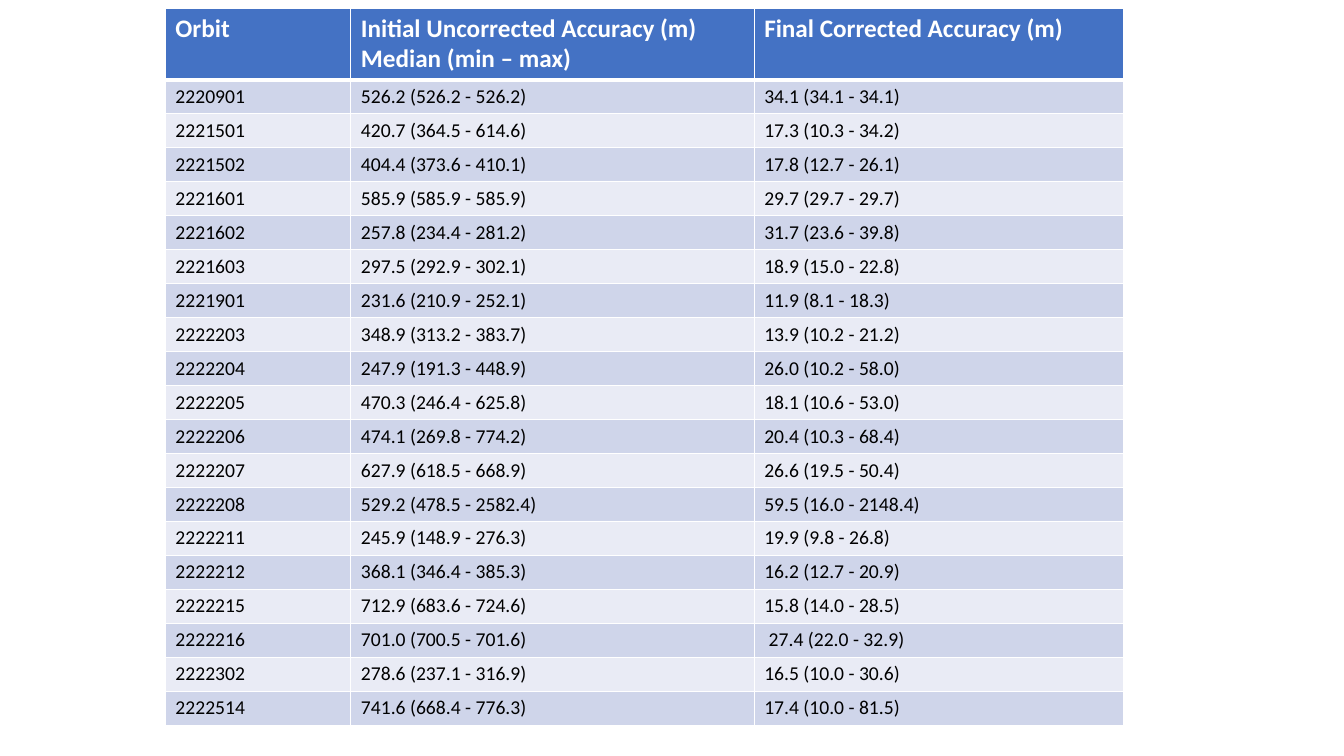
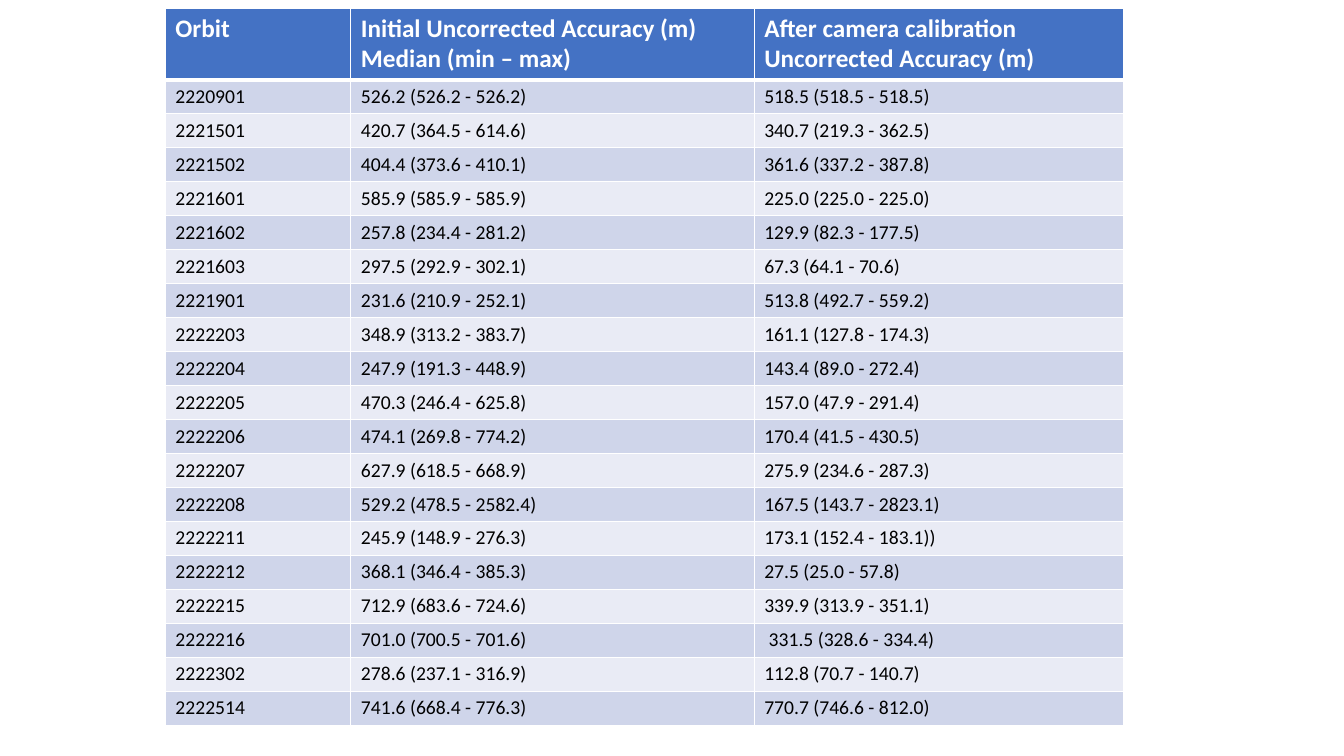
"""Build two slides of tables comparing orbit accuracy before and after correction."""

from dataclasses import dataclass
from typing import NamedTuple

from lxml.etree import SubElement
from pptx import Presentation
from pptx.dml.color import RGBColor
from pptx.oxml.ns import qn
from pptx.presentation import Presentation as Deck
from pptx.table import _Cell as Cell
from pptx.util import Inches, Pt

WHITE = RGBColor(0xFF, 0xFF, 0xFF)
BLACK = RGBColor(0x00, 0x00, 0x00)
HEADER_BLUE = RGBColor(0x44, 0x72, 0xC4)
BAND_DARK = RGBColor(0xCF, 0xD5, 0xEA)
BAND_LIGHT = RGBColor(0xE9, 0xEB, 0xF5)

FONT = "Calibri"
TABLE_LEFT, TABLE_TOP = Inches(1.64), Inches(0.08)
COLUMN_WIDTHS = (Inches(1.84), Inches(4), Inches(3.66))
HEADER_HEIGHT, ROW_HEIGHT = Inches(0.68), Inches(0.33)
THIN, THICK = Pt(1), Pt(3)


@dataclass(frozen=True)
class CellStyle:
    """Look of the cells in one table row."""

    fill: RGBColor
    color: RGBColor
    size: int
    bold: bool
    top: int = THIN
    bottom: int = THIN


class Orbit(NamedTuple):
    """Accuracy of one orbit, each as median (min - max)."""

    name: str
    initial: str
    corrected: str
    calibrated: str


class AccuracySlide(NamedTuple):
    """Heading of the last column and the orbit field it lists."""

    heading: str
    field: str


HEADER_STYLE = CellStyle(HEADER_BLUE, WHITE, 18, True, bottom=THICK)
FIRST_STYLE = CellStyle(BAND_DARK, BLACK, 14, False, top=THICK)
BAND_STYLES = (
    CellStyle(BAND_DARK, BLACK, 14, False),
    CellStyle(BAND_LIGHT, BLACK, 14, False),
)

INITIAL_HEADING = "Initial Uncorrected Accuracy (m)\nMedian (min – max)"

SLIDES = (
    AccuracySlide("Final Corrected Accuracy (m)", "corrected"),
    AccuracySlide("After camera calibration Uncorrected Accuracy (m)", "calibrated"),
)

ORBITS = (
    Orbit("2220901", "526.2 (526.2 - 526.2)", "34.1 (34.1 - 34.1)", "518.5 (518.5 - 518.5)"),
    Orbit("2221501", "420.7 (364.5 - 614.6)", "17.3 (10.3 - 34.2)", "340.7 (219.3 - 362.5)"),
    Orbit("2221502", "404.4 (373.6 - 410.1)", "17.8 (12.7 - 26.1)", "361.6 (337.2 - 387.8)"),
    Orbit("2221601", "585.9 (585.9 - 585.9)", "29.7 (29.7 - 29.7)", "225.0 (225.0 - 225.0)"),
    Orbit("2221602", "257.8 (234.4 - 281.2)", "31.7 (23.6 - 39.8)", "129.9 (82.3 - 177.5)"),
    Orbit("2221603", "297.5 (292.9 - 302.1)", "18.9 (15.0 - 22.8)", "67.3 (64.1 - 70.6)"),
    Orbit("2221901", "231.6 (210.9 - 252.1)", "11.9 (8.1 - 18.3)", "513.8 (492.7 - 559.2)"),
    Orbit("2222203", "348.9 (313.2 - 383.7)", "13.9 (10.2 - 21.2)", "161.1 (127.8 - 174.3)"),
    Orbit("2222204", "247.9 (191.3 - 448.9)", "26.0 (10.2 - 58.0)", "143.4 (89.0 - 272.4)"),
    Orbit("2222205", "470.3 (246.4 - 625.8)", "18.1 (10.6 - 53.0)", "157.0 (47.9 - 291.4)"),
    Orbit("2222206", "474.1 (269.8 - 774.2)", "20.4 (10.3 - 68.4)", "170.4 (41.5 - 430.5)"),
    Orbit("2222207", "627.9 (618.5 - 668.9)", "26.6 (19.5 - 50.4)", "275.9 (234.6 - 287.3)"),
    Orbit("2222208", "529.2 (478.5 - 2582.4)", "59.5 (16.0 - 2148.4)", "167.5 (143.7 - 2823.1)"),
    Orbit("2222211", "245.9 (148.9 - 276.3)", "19.9 (9.8 - 26.8)", "173.1 (152.4 - 183.1))"),
    Orbit("2222212", "368.1 (346.4 - 385.3)", "16.2 (12.7 - 20.9)", "27.5 (25.0 - 57.8)"),
    Orbit("2222215", "712.9 (683.6 - 724.6)", "15.8 (14.0 - 28.5)", "339.9 (313.9 - 351.1)"),
    Orbit("2222216", "701.0 (700.5 - 701.6)", " 27.4 (22.0 - 32.9)", " 331.5 (328.6 - 334.4)"),
    Orbit("2222302", "278.6 (237.1 - 316.9)", "16.5 (10.0 - 30.6)", "112.8 (70.7 - 140.7)"),
    Orbit("2222514", "741.6 (668.4 - 776.3)", "17.4 (10.0 - 81.5)", "770.7 (746.6 - 812.0)"),
)


def add_borders(cell: Cell, style: CellStyle) -> None:
    """Give the cell white borders on all four sides."""
    properties = cell._tc.get_or_add_tcPr()
    sides = (("a:lnL", THIN), ("a:lnR", THIN), ("a:lnT", style.top), ("a:lnB", style.bottom))
    for tag, width in sides:
        line = SubElement(properties, qn(tag), w=str(int(width)))
        fill = SubElement(line, qn("a:solidFill"))
        SubElement(fill, qn("a:srgbClr"), val=str(WHITE))


def write_cell(cell: Cell, text: str, style: CellStyle) -> None:
    """Format the cell and write one paragraph for each line of text."""
    add_borders(cell, style)
    cell.fill.solid()
    cell.fill.fore_color.rgb = style.fill
    frame = cell.text_frame
    for index, line in enumerate(text.split("\n")):
        paragraph = frame.add_paragraph() if index else frame.paragraphs[0]
        run = paragraph.add_run()
        run.text = line
        run.font.name = FONT
        run.font.size = Pt(style.size)
        run.font.bold = style.bold
        run.font.color.rgb = style.color


def row_style(index: int) -> CellStyle:
    """Return the style of the row at this index."""
    if index == 0:
        return HEADER_STYLE
    return FIRST_STYLE if index == 1 else BAND_STYLES[(index - 1) % 2]


def add_accuracy_slide(presentation: Deck, content: AccuracySlide) -> None:
    """Add a slide that holds one accuracy table."""
    slide = presentation.slides.add_slide(presentation.slide_layouts[6])
    rows = [("Orbit", INITIAL_HEADING, content.heading)]
    rows += [(orbit.name, orbit.initial, getattr(orbit, content.field)) for orbit in ORBITS]
    height = HEADER_HEIGHT + ROW_HEIGHT * len(ORBITS)
    table = slide.shapes.add_table(
        len(rows), len(COLUMN_WIDTHS), TABLE_LEFT, TABLE_TOP, sum(COLUMN_WIDTHS), height
    ).table
    for column, width in zip(table.columns, COLUMN_WIDTHS):
        column.width = width
    for index, texts in enumerate(rows):
        table.rows[index].height = ROW_HEIGHT if index else HEADER_HEIGHT
        for cell, text in zip(table.rows[index].cells, texts):
            write_cell(cell, text, row_style(index))


def main() -> None:
    """Build and save the presentation."""
    presentation = Presentation()
    presentation.slide_width = Inches(13.33)
    presentation.slide_height = Inches(7.5)
    for content in SLIDES:
        add_accuracy_slide(presentation, content)
    presentation.save("out.pptx")


if __name__ == "__main__":
    main()
